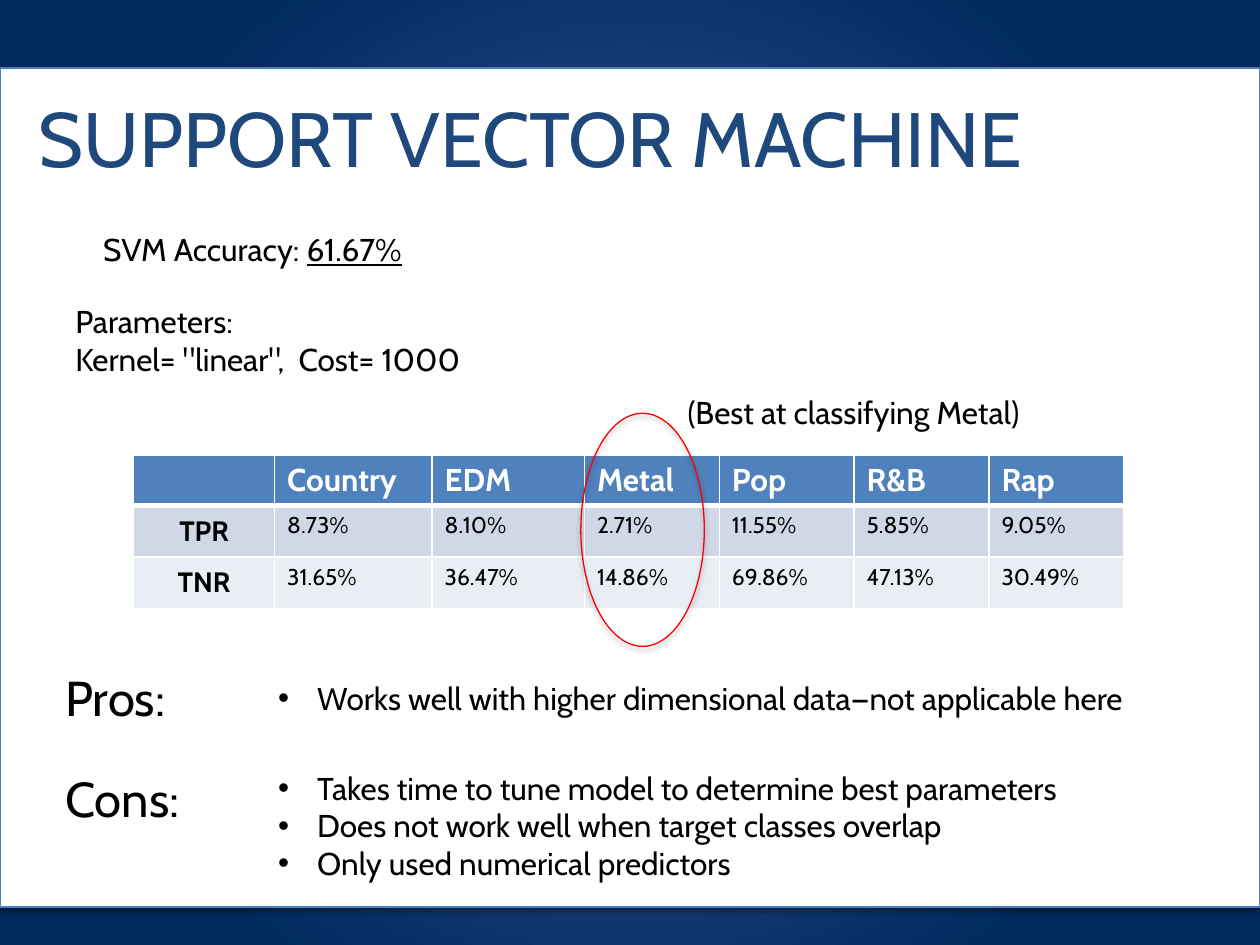
import pptx
import pptx.util
import pptx.oxml
import pptx.dml.color
import pptx.enum.shapes
import pptx.enum.text
from pptx.oxml.ns import qn
from lxml import etree

Inches, Pt = pptx.util.Inches, pptx.util.Pt
MSO_SHAPE = pptx.enum.shapes.MSO_SHAPE
ANCHOR = pptx.enum.text.MSO_ANCHOR
A_NS = 'xmlns:a="http://schemas.openxmlformats.org/drawingml/2006/main"'

W, H = 10, 7.5
FONT = "Cabin"
COLORS = {
    "glow": "47619D", "navy": "00295C", "panel_line": "4B7EBC", "title": "1F497D",
    "header": "4F81BD", "band_dark": "D0D8E8", "band_light": "E9EDF4",
    "black": "000000", "white": "FFFFFF", "red": "FF0000",
}

# Left edges and widths of the text columns
LABEL_X, LABEL_W = 0.42, 1.12
POINT_X, POINT_W = 2.11, 6.97

# (left, top, width, height), size, colour, bulleted, paragraphs of (text, underlined) runs
TEXTS = [
    ((0.21, 0.63, 9.07, 0.91), 44, "title", False, [[("SUPPORT VECTOR MACHINE", False)]]),
    ((LABEL_X, 5.25, LABEL_W, 0.57), 28, "black", False, [[("Pros:", False)]]),
    ((LABEL_X, 6.05, LABEL_W, 0.57), 28, "black", False, [[("Cons:", False)]]),
    ((POINT_X, 6.05, POINT_W, 1.01), 18, "black", True, [
        [("Takes time to tune model to determine best parameters", False)],
        [("Does not work well when target classes overlap", False)],
        [("Only used numerical predictors", False)]]),
    ((0.72, 1.78, 2.71, 0.4), 18, "black", False,
     [[("SVM Accuracy: ", False), ("61.67%", True)]]),
    ((0.5, 2.35, 4.27, 0.71), 18, "black", False, [
        [("Parameters:", False)], [('Kernel= "linear",  Cost= 1000', False)]]),
    ((POINT_X, 5.34, POINT_W, 0.4), 18, "black", True,
     [[("Works well with higher dimensional data—not applicable here", False)]]),
]
NOTE = ((5.36, 3.07, 3.03, 0.41), 18, "black", False, [[("(Best at classifying Metal)", False)]])

RATES = [
    ["", "Country", "EDM", "Metal", "Pop", "R&B", "Rap"],
    ["TPR", "8.73%", "8.10%", "2.71%", "11.55%", "5.85%", "9.05%"],
    ["TNR", "31.65%", "36.47%", "14.86%", "69.86%", "47.13%", "30.49%"],
]
TABLE_X, TABLE_Y = 1.06, 3.61
COL_W = [1.12, 1.25, 1.21] + [1.07] * 4
ROW_H = [0.4, 0.41, 0.41]
ROW_FILLS = ["header", "band_dark", "band_light"]


def rgb(name):
    return pptx.dml.color.RGBColor.from_string(COLORS[name])


def add_run(p, text, size, color, bold=False, underline=False):
    r = p.add_run()
    r.text = text
    r.font.name, r.font.size, r.font.bold = FONT, Pt(size), bold
    r.font.color.rgb = rgb(color)
    if underline:
        r.font.underline = True


def add_bullet(p):
    pPr = p._p.get_or_add_pPr()
    pPr.set("marL", str(Inches(0.31)))
    pPr.set("indent", str(-Inches(0.31)))
    etree.SubElement(pPr, qn("a:buFont"), typeface="Arial")
    etree.SubElement(pPr, qn("a:buChar"), char="•")


def add_text(s, box, size, color, bulleted, paragraphs):
    tf = s.shapes.add_textbox(*map(Inches, box)).text_frame
    tf.word_wrap = True
    tf.vertical_anchor = ANCHOR.MIDDLE if color == "title" else ANCHOR.TOP
    for i, runs in enumerate(paragraphs):
        p = tf.paragraphs[0] if i == 0 else tf.add_paragraph()
        if bulleted:
            add_bullet(p)
        for text, underline in runs:
            add_run(p, text, size, color, underline=underline)


def add_outlined(s, kind, box, line, fill=None):
    """Add a thin-lined shape with a soft shadow below it."""
    sp = s.shapes.add_shape(kind, *map(Inches, box))
    if fill:
        sp.fill.solid()
        sp.fill.fore_color.rgb = rgb(fill)
    else:
        sp.fill.background()
    sp.line.color.rgb, sp.line.width = rgb(line), Pt(0.75)
    sp.shadow.inherit = False
    sp._element.spPr.find(qn("a:effectLst")).append(pptx.oxml.parse_xml(
        f'<a:outerShdw {A_NS} blurRad="{Pt(3.1)}" dist="{Pt(1.8)}" dir="5400000" rotWithShape="0">'
        f'<a:srgbClr val="{COLORS["black"]}"><a:alpha val="35000"/></a:srgbClr></a:outerShdw>'))


def set_borders(cell, widths):
    tcPr = cell._tc.get_or_add_tcPr()
    for i, (side, width) in enumerate(widths.items()):
        tcPr.insert(i, pptx.oxml.parse_xml(
            f'<a:ln{side} {A_NS} w="{Pt(width)}"><a:solidFill>'
            f'<a:srgbClr val="{COLORS["white"]}"/></a:solidFill></a:ln{side}>'))


def add_rates(s):
    frame = s.shapes.add_table(len(ROW_H), len(COL_W), *map(
        Inches, (TABLE_X, TABLE_Y, sum(COL_W), sum(ROW_H))))
    table = frame.table
    for col, width in zip(table.columns, COL_W):
        col.width = Inches(width)
    for i, (values, height, fill) in enumerate(zip(RATES, ROW_H, ROW_FILLS)):
        table.rows[i].height = Inches(height)
        for j, text in enumerate(values):
            cell = table.cell(i, j)
            cell.fill.solid()
            cell.fill.fore_color.rgb = rgb(fill)
            set_borders(cell, {"L": 1, "R": 1, "T": 3 if i == 1 else 1, "B": 3 if i == 0 else 1})
            p = cell.text_frame.paragraphs[0]
            if i == 0:
                if text:
                    add_run(p, text, 18, "white", bold=True)
            elif j == 0:
                cell.vertical_anchor = ANCHOR.MIDDLE
                p.alignment = pptx.enum.text.PP_ALIGN.CENTER
                add_run(p, text, 16, "black", bold=True)
            else:
                add_run(p, text, 13, "black")


def set_radial_background(s):
    fill = s.background.fill
    fill.gradient()
    for stop, name, position in zip(fill.gradient_stops, ("glow", "navy"), (0, 0.76)):
        stop.color.rgb, stop.position = rgb(name), position
    lin = next(s._element.iter(qn("a:lin")))
    lin.getparent().replace(lin, pptx.oxml.parse_xml(
        f'<a:path {A_NS} path="circle"><a:fillToRect l="50000" t="50000" r="50000" b="50000"/></a:path>'))


def main():
    prs = pptx.Presentation()
    prs.slide_width, prs.slide_height = Inches(W), Inches(H)
    s = prs.slides.add_slide(prs.slide_layouts[6])
    set_radial_background(s)
    add_outlined(s, MSO_SHAPE.RECTANGLE, (0, 0.54, W, 6.66), "panel_line", "white")
    for text in TEXTS:
        add_text(s, *text)
    add_rates(s)
    add_outlined(s, MSO_SHAPE.OVAL, (4.61, 3.28, 0.98, 1.85), "red")
    add_text(s, *NOTE)
    prs.save("out.pptx")


if __name__ == "__main__":
    main()
